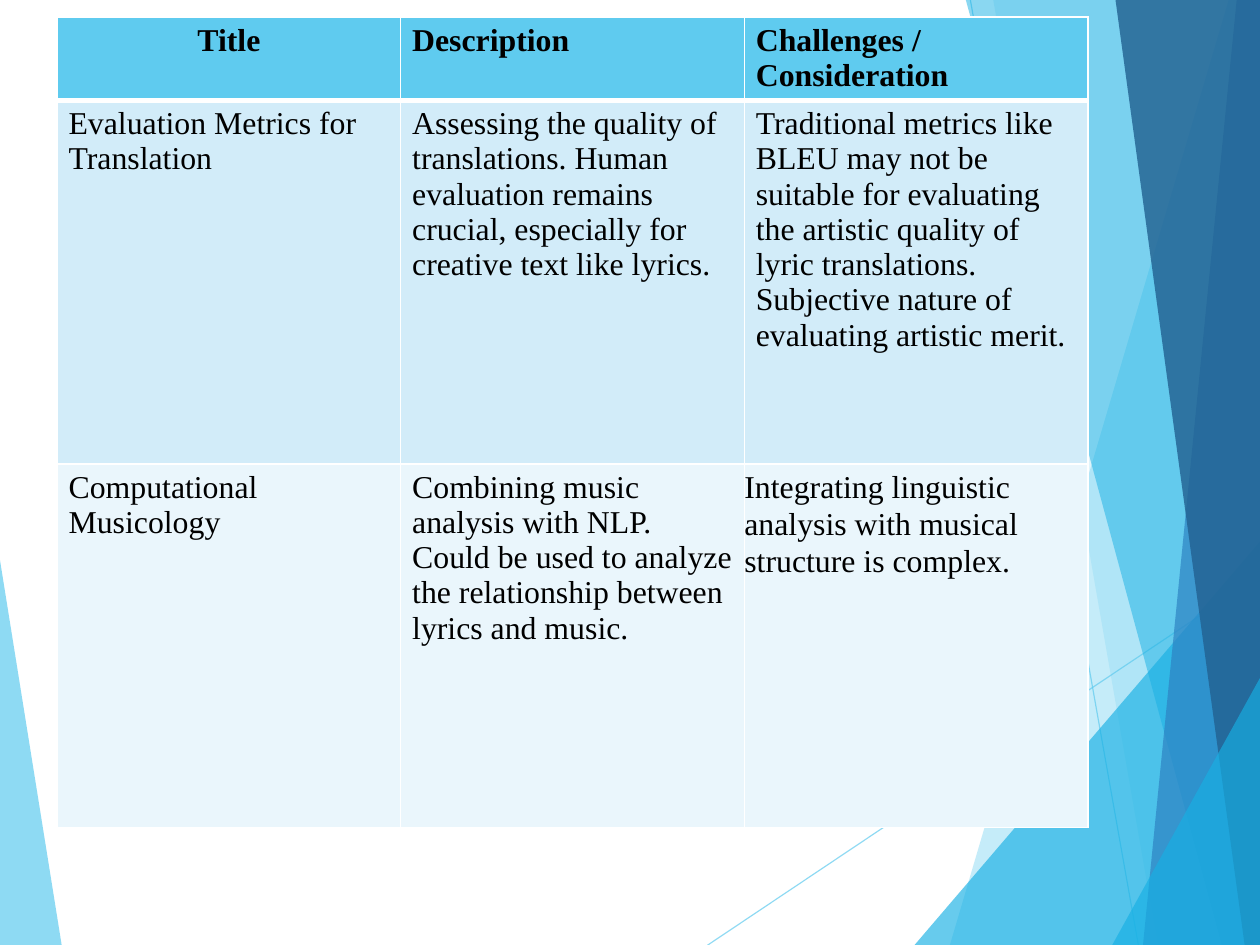
from lxml import etree
from pptx import Presentation
from pptx.dml.color import RGBColor
from pptx.enum import shapes, text
from pptx.oxml import ns
from pptx.util import Cm, Inches, Pt

SLIDE_SIZE = Cm(28), Cm(21)
RIGHT, BOTTOM = 11.03, 8.27

THEME = {
    "font": "Times New Roman", "size": 20, "text": "000000", "border": "FFFFFF",
    "sky": "5FCBEF", "cyan": "17B0E4", "blue": "2E83C3", "navy": "236292",
    "header": "5FCBEF", "rows": ["D2ECF9", "EAF6FC"],
}

HEADERS = ["Title", "Description", "Challenges / Consideration"]
ROWS = [
    [["Evaluation Metrics for", "Translation"],
     ["Assessing the quality of translations. Human evaluation remains crucial, "
      "especially for creative text like lyrics."],
     ["Traditional metrics like BLEU may not be",
      "suitable for evaluating the artistic quality of lyric translations. "
      "Subjective nature of evaluating artistic merit."]],
    [["Computational", "Musicology"],
     ["Combining music analysis with NLP. Could be used to analyze the "
      "relationship between lyrics and music."],
     ["Integrating linguistic analysis with musical structure is complex."]],
]
TABLE_LEFT, TABLE_TOP, TABLE_WIDTH = 0.5, 0.15, 9.02
ROW_HEIGHTS = [0.73, 3.18, 3.18]

LEFT_FACET = ([(0, 4.9), (0.54, BOTTOM), (0, BOTTOM)], "sky", 70)
RAYS = [((6.19, BOTTOM), (RIGHT, 5.03)), ((8.49, 0), (9.96, BOTTOM))]
RAY_OPACITY = 70
# Right-hand facets: top x, bottom x, top y, colour, opacity; each runs to the slide's edge
RIGHT_FACETS = [
    (10.75, 8.31, 0, "sky", 36),
    (8.69, 10.13, 0, "sky", 20),
    (RIGHT, 8, 4.73, "cyan", 65),
    (8.45, 10.69, 0, "cyan", 50),
    (10.82, 10, 0, "blue", 70),
    (9.76, 10.89, 0, "navy", 82),
    (RIGHT, 9.73, 5.92, "cyan", 65),
]


def color(name):
    return RGBColor.from_string(THEME.get(name, name))


def set_opacity(owner, percent):
    for value in owner._element.spPr.iter(ns.qn("a:srgbClr")):
        etree.SubElement(value, ns.qn("a:alpha"), val=str(percent * 1000))


def add_facet(slide, points, fill, opacity):
    corners = [(Inches(x), Inches(y)) for x, y in points]
    builder = slide.shapes.build_freeform(*corners[0], scale=1.0)
    builder.add_line_segments(corners[1:], close=True)
    shape = builder.convert_to_shape()
    shape.shadow.inherit = False
    shape.fill.solid()
    shape.fill.fore_color.rgb = color(fill)
    shape.line.fill.background()
    set_opacity(shape, opacity)


def add_ray(slide, start, end):
    connector = slide.shapes.add_connector(
        shapes.MSO_CONNECTOR.STRAIGHT, *(Inches(value) for value in start + end))
    connector.line.color.rgb = color("sky")
    connector.line.width = Pt(0.75)
    set_opacity(connector, RAY_OPACITY)
    etree.SubElement(connector._element.spPr, ns.qn("a:effectLst"))


def write(frame, lines, bold=False, align=text.PP_ALIGN.LEFT, spacing=None):
    frame.word_wrap = True
    for index, line in enumerate(lines):
        paragraph = frame.add_paragraph() if index else frame.paragraphs[0]
        paragraph.alignment = align
        paragraph.line_spacing = spacing
        run = paragraph.add_run()
        run.text = line
        run.font.name = THEME["font"]
        run.font.size = Pt(THEME["size"])
        run.font.bold = bold
        run.font.color.rgb = color("text")


def style_cell(cell, fill, top=1, bottom=1):
    """Fill the cell and draw its four borders, widths in points."""
    cell.fill.solid()
    cell.fill.fore_color.rgb = color(fill)
    properties = cell._tc.get_or_add_tcPr()
    widths = {"lnL": 1, "lnR": 1, "lnT": top, "lnB": bottom}
    for position, (side, width) in enumerate(widths.items()):
        border = etree.Element(ns.qn("a:" + side), w=str(Pt(width)))
        solid = etree.SubElement(border, ns.qn("a:solidFill"))
        etree.SubElement(solid, ns.qn("a:srgbClr"), val=THEME["border"])
        properties.insert(position, border)


def add_metrics_table(slide):
    columns = len(HEADERS)
    table = slide.shapes.add_table(
        len(ROW_HEIGHTS), columns, Inches(TABLE_LEFT), Inches(TABLE_TOP),
        Inches(TABLE_WIDTH), Inches(sum(ROW_HEIGHTS))).table
    table.horz_banding = False
    for column in table.columns:
        column.width = Inches(TABLE_WIDTH / columns)
    for row, height in zip(table.rows, ROW_HEIGHTS):
        row.height = Inches(height)

    for index, header in enumerate(HEADERS):
        cell = table.cell(0, index)
        style_cell(cell, "header", bottom=3)
        align = text.PP_ALIGN.LEFT if index else text.PP_ALIGN.CENTER
        write(cell.text_frame, [header], bold=True, align=align)

    last = (len(ROWS), columns - 1)
    for row, (contents, fill) in enumerate(zip(ROWS, THEME["rows"]), start=1):
        for index, lines in enumerate(contents):
            cell = table.cell(row, index)
            style_cell(cell, fill, top=3 if row == 1 else 1)
            flush = (row, index) == last
            write(cell.text_frame, lines, spacing=1.05 if flush else None)
            if flush:
                cell.margin_left = cell.margin_right = cell.margin_bottom = 0
                cell.margin_top = Inches(0.04)


def main():
    presentation = Presentation()
    presentation.slide_width, presentation.slide_height = SLIDE_SIZE
    slide = presentation.slides.add_slide(presentation.slide_layouts[6])

    add_facet(slide, *LEFT_FACET)
    for start, end in RAYS:
        add_ray(slide, start, end)
    for top_x, bottom_x, top_y, fill, opacity in RIGHT_FACETS:
        points = [(top_x, top_y), (bottom_x, BOTTOM), (RIGHT, BOTTOM)]
        if top_x < RIGHT:
            points.append((RIGHT, top_y))
        add_facet(slide, points, fill, opacity)
    add_metrics_table(slide)
    presentation.save("out.pptx")


if __name__ == "__main__":
    main()
